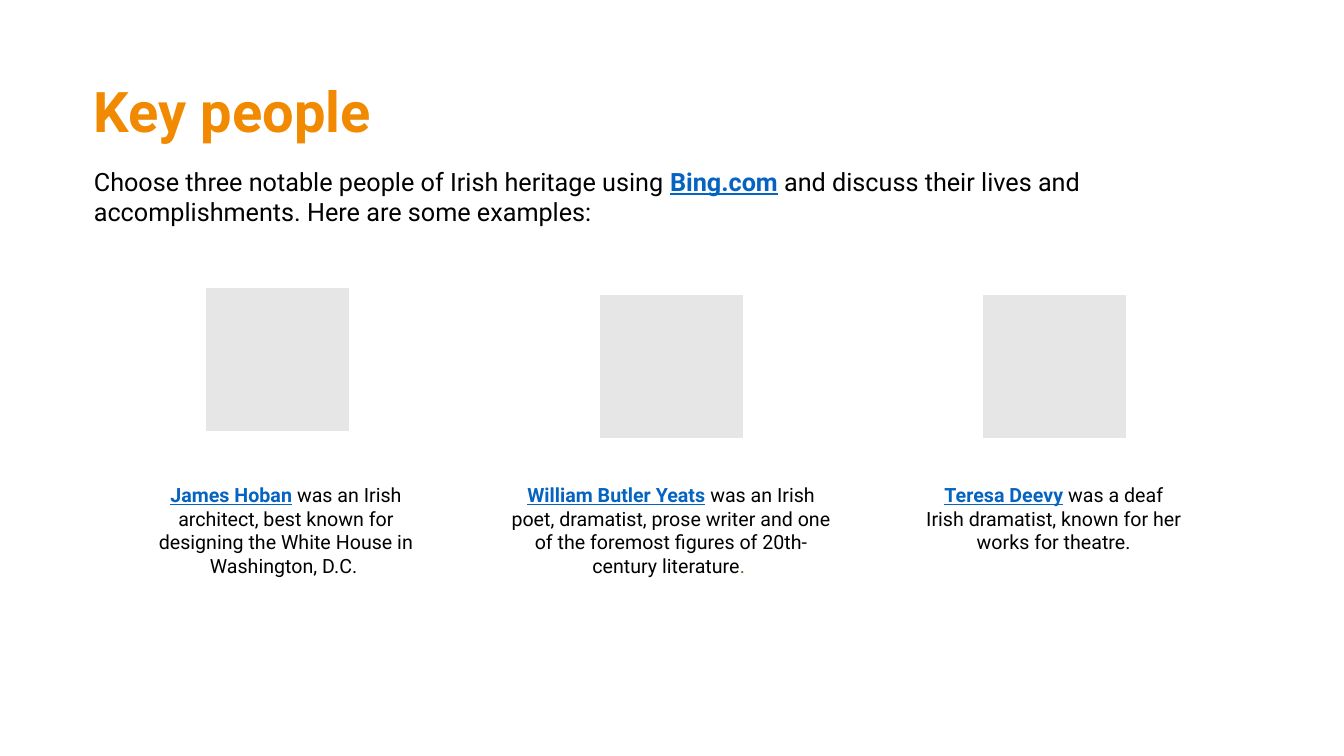
from dataclasses import dataclass

from pptx import Presentation
from pptx.dml.color import RGBColor
from pptx.enum.shapes import MSO_SHAPE
from pptx.enum.text import MSO_ANCHOR, PP_ALIGN
from pptx.util import Inches, Pt

RECTANGLE = MSO_SHAPE.RECTANGLE
LEFT, CENTER = PP_ALIGN.LEFT, PP_ALIGN.CENTER
TOP, MIDDLE = MSO_ANCHOR.TOP, MSO_ANCHOR.MIDDLE
BLANK_LAYOUT = 6


@dataclass(frozen=True)
class Theme:
    font: str = "Roboto"
    orange: str = "F18A00"
    black: str = "000000"
    blue: str = "0563C1"
    green: str = "487629"
    grey: str = "E7E6E6"
    white: str = "FFFFFF"
    title_size: int = 40
    body_size: int = 18
    caption_size: int = 14


class SlideBuilder:
    """Places elements on a grid of 16 columns by 9 rows."""

    columns, rows = 16, 9

    def __init__(self, deck, theme):
        self.theme = theme
        self.page = deck.slides.add_slide(deck.slide_layouts[BLANK_LAYOUT])
        self.column = deck.slide_width / self.columns
        self.row = deck.slide_height / self.rows
        self.formats = {
            "title": {"color": theme.orange, "bold": True},
            "link": {"color": theme.blue, "bold": True, "underline": True},
            "plain": {"color": theme.black},
            "accent": {"color": theme.green},
        }

    def place(self, left, top, width, height):
        return (round(left * self.column), round(top * self.row),
                round(width * self.column), round(height * self.row))

    def text(self, shapes, area, spans, size, align=LEFT, anchor=TOP,
             inset=0.1, line_spacing=1.0):
        """Adds one paragraph made of (text, format name) spans."""
        frame = shapes.add_textbox(*self.place(*area)).text_frame
        frame_format = {
            "word_wrap": True, "vertical_anchor": anchor,
            "margin_left": Inches(inset), "margin_right": Inches(inset),
            "margin_top": 0, "margin_bottom": 0,
        }
        for name, value in frame_format.items():
            setattr(frame, name, value)
        para = frame.paragraphs[0]
        para.alignment = align
        para.line_spacing = line_spacing
        for words, style in spans:
            span = para.add_run()
            span.text = words
            font_format = {"name": self.theme.font, "size": Pt(size),
                           **self.formats[style]}
            span.font.color.rgb = RGBColor.from_string(font_format.pop("color"))
            for name, value in font_format.items():
                setattr(span.font, name, value)

    def portrait(self, shapes, area):
        box = shapes.add_shape(RECTANGLE, *self.place(*area))
        box.shadow.inherit = False
        box.fill.solid()
        box.fill.fore_color.rgb = RGBColor.from_string(self.theme.grey)
        box.line.color.rgb = RGBColor.from_string(self.theme.white)
        box.line.width = Pt(1)

    def person(self, portrait_area, caption_area, spans):
        shapes = self.page.shapes.add_group_shape().shapes
        self.portrait(shapes, portrait_area)
        self.text(shapes, caption_area, spans, self.theme.caption_size,
                  align=CENTER, inset=0)


def main():
    deck = Presentation()
    deck.slide_width, deck.slide_height = Inches(13.33), Inches(7.5)
    theme = Theme()
    slide = SlideBuilder(deck, theme)
    shapes = slide.page.shapes

    slide.text(shapes, (1, 0.94, 13.9, 0.85), [("Key people", "title")],
               theme.title_size, anchor=MIDDLE, line_spacing=0.9)
    slide.text(shapes, (1, 1.98, 14, 1.08), [
        ("Choose three notable people of Irish heritage using ", "plain"),
        ("Bing.com", "link"),
        (" ", "accent"),
        ("and discuss their lives and accomplishments. "
         "Here are some examples:", "plain"),
    ], theme.body_size)

    # Portrait left and top, caption left and width, then the caption's words
    people = [
        (2.44, 3.42, 1.61, 3.59, "James Hoban",
         [("was an Irish architect, best known for designing the White House "
           "in Washington, D.C. ", "plain")]),
        (7.14, 3.5, 6.02, 3.94, "William Butler Yeats",
         [("was an Irish poet, dramatist, prose writer and one of the foremost "
           "figures of 20th-century literature", "plain"), (". ", "accent")]),
        (11.69, 3.5, 11, 3.09, "Teresa Deevy",
         [("was a deaf Irish dramatist, known for her works for theatre.",
           "plain")]),
    ]
    side, caption_top, caption_height = 1.72, 5.75, 1.27
    for left, top, caption_left, caption_width, name, story in people:
        slide.person((left, top, side, side),
                     (caption_left, caption_top, caption_width, caption_height),
                     [(name, "link"), (" ", "accent"), *story])

    deck.save("out.pptx")


if __name__ == "__main__":
    main()
